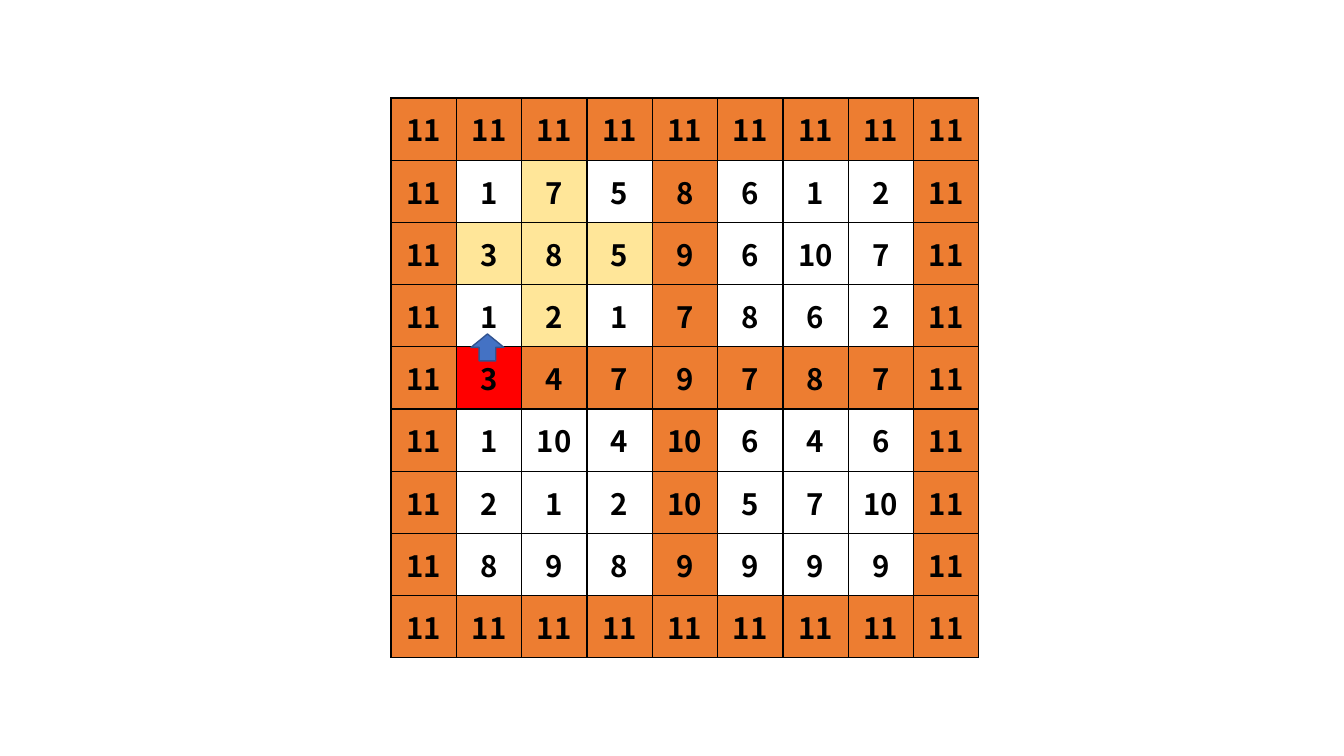
from dataclasses import dataclass

from lxml.etree import SubElement
from pptx import Presentation
from pptx.dml.color import RGBColor as Rgb
from pptx.enum.shapes import MSO_SHAPE as Form
from pptx.enum.text import MSO_ANCHOR as Anchor, PP_ALIGN as Align
from pptx.oxml.ns import qn
from pptx.slide import Slide
from pptx.table import Table
from pptx.util import Emu, Pt


@dataclass(frozen=True)
class Theme:
    font: str = "Noto Sans CJK SC"
    size: int = 21
    line: int = 1
    ink: str = "000000"
    wall: str = "ED7D31"
    cross: str = "FFE699"
    start: str = "FF0000"
    arrow: str = "4472C4"
    edge: str = "325491"


@dataclass(frozen=True)
class Box:
    left: int
    top: int
    width: int
    height: int

    def emu(self) -> tuple[Emu, Emu, Emu, Emu]:
        return px(self.left), px(self.top), px(self.width), px(self.height)


@dataclass(frozen=True)
class Tile:
    row: int
    col: int
    value: int
    fill: str | None


SCALE = 914400 / 100.8
THEME = Theme()
GRID = Box(391, 98, 588, 560)
ARROW = Box(471, 334, 33, 27)
RIM = 11
START = (4, 1)
HUB = (2, 2)
INNER = [
    [1, 7, 5, 8, 6, 1, 2],
    [3, 8, 5, 9, 6, 10, 7],
    [1, 2, 1, 7, 8, 6, 2],
    [3, 4, 7, 9, 7, 8, 7],
    [1, 10, 4, 10, 6, 4, 6],
    [2, 1, 2, 10, 5, 7, 10],
    [8, 9, 8, 9, 9, 9, 9],
]
COUNT = len(INNER) + 2
MID = COUNT // 2


def px(value: int) -> Emu:
    return Emu(round(value * SCALE))


def shade(row: int, col: int) -> str | None:
    if (row, col) == START:
        return THEME.start
    if row % MID == 0 or col % MID == 0:
        return THEME.wall
    if abs(row - HUB[0]) + abs(col - HUB[1]) <= 1:
        return THEME.cross
    return None


def tiles() -> list[Tile]:
    rim = [RIM] * COUNT
    rows = [rim, *([RIM, *line, RIM] for line in INNER), rim]
    return [
        Tile(r, c, value, shade(r, c))
        for r, line in enumerate(rows)
        for c, value in enumerate(line)
    ]


def draw_tile(table: Table, tile: Tile) -> None:
    cell = table.cell(tile.row, tile.col)
    cell.vertical_anchor = Anchor.MIDDLE
    cell.margin_left = cell.margin_right = px(12)
    cell.margin_top = cell.margin_bottom = px(6)
    props = cell._tc.get_or_add_tcPr()
    for side in ("lnL", "lnR", "lnT", "lnB"):
        line = SubElement(props, qn(f"a:{side}"), w=str(Pt(THEME.line)))
        solid = SubElement(line, qn("a:solidFill"))
        SubElement(solid, qn("a:srgbClr"), val=THEME.ink)
    if tile.fill:
        cell.fill.solid()
        cell.fill.fore_color.rgb = Rgb.from_string(tile.fill)
    else:
        cell.fill.background()
    para = cell.text_frame.paragraphs[0]
    para.alignment = Align.CENTER
    run = para.add_run()
    run.text = str(tile.value)
    run.font.name = THEME.font
    run.font.size = Pt(THEME.size)
    run.font.bold = True
    run.font.color.rgb = Rgb.from_string(THEME.ink)


def draw_grid(slide: Slide) -> None:
    table = slide.shapes.add_table(COUNT, COUNT, *GRID.emu()).table
    table.first_row = table.horz_banding = False
    for col in table.columns:
        col.width = Emu(px(GRID.width) // COUNT)
    for row in table.rows:
        row.height = Emu(px(GRID.height) // COUNT)
    for tile in tiles():
        draw_tile(table, tile)


def draw_arrow(slide: Slide) -> None:
    arrow = slide.shapes.add_shape(Form.UP_ARROW, *ARROW.emu())
    arrow.shadow.inherit = False
    arrow.fill.solid()
    arrow.fill.fore_color.rgb = Rgb.from_string(THEME.arrow)
    arrow.line.color.rgb = Rgb.from_string(THEME.edge)
    arrow.line.width = Pt(THEME.line)


def main() -> None:
    deck = Presentation()
    deck.slide_width, deck.slide_height = px(1344), px(756)
    slide = deck.slides.add_slide(deck.slide_layouts[6])
    draw_grid(slide)
    draw_arrow(slide)
    deck.save("out.pptx")


if __name__ == "__main__":
    main()
